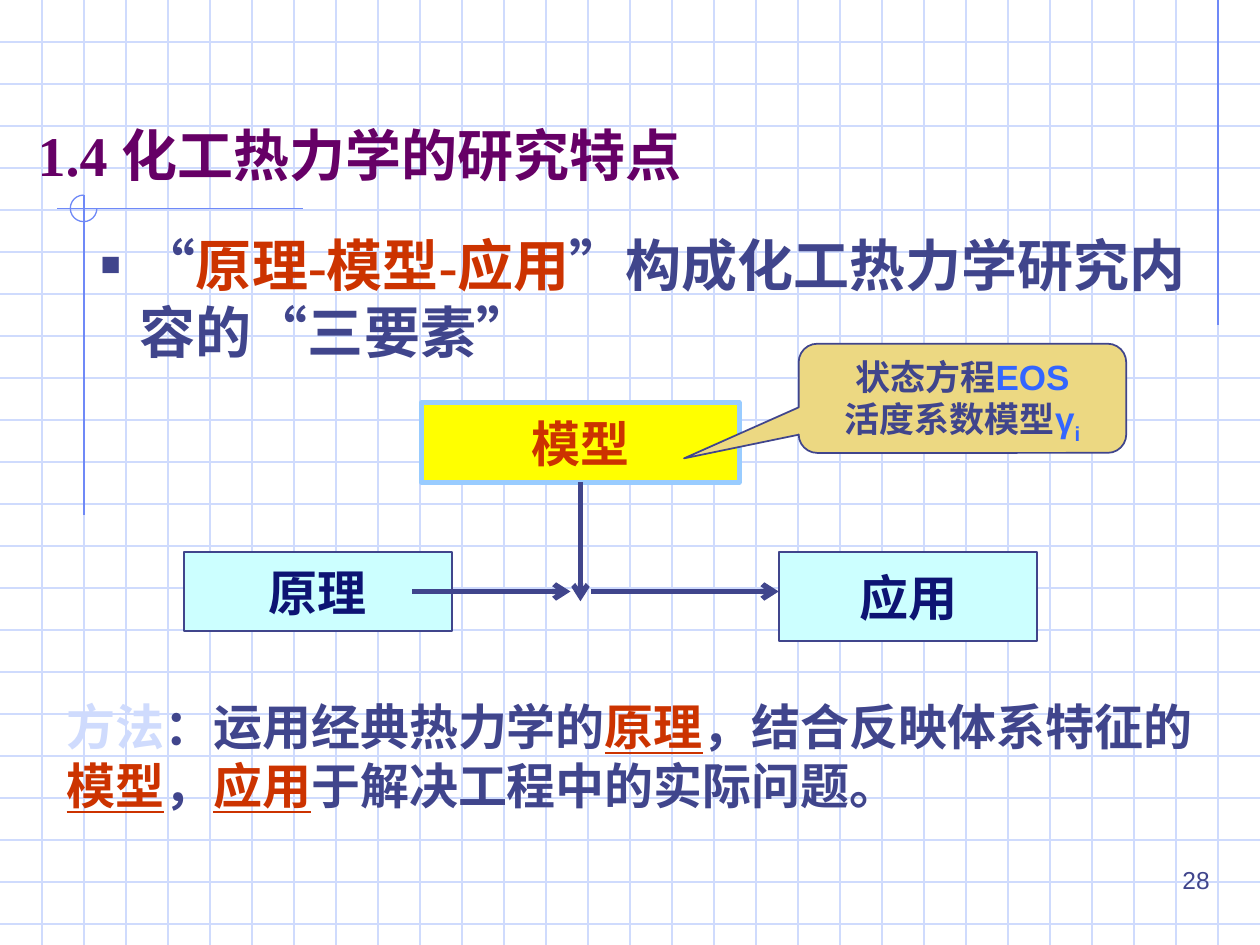
from lxml.etree import SubElement
from pptx import Presentation
from pptx.dml.color import RGBColor
from pptx.enum.shapes import MSO_CONNECTOR as Connector, MSO_SHAPE as Shape
from pptx.enum.text import MSO_ANCHOR as Anchor, MSO_AUTO_SIZE as AutoSize, PP_ALIGN as Align
from pptx.oxml.ns import qn
from pptx.util import Pt

INK, RED, BLUE, NAVY = "40458C", "CC3300", "3366FF", "0D1473"
GRID, ACCENT, PURPLE = "CFDBFD", "6F89F7", "660066"
WIDTH, HEIGHT, STEP = 720, 540, 24


def colour(code):
    return RGBColor.from_string(code)


class Board:
    def __init__(self, slide, font="Arial"):
        self.slide = slide
        self.font = font

    def line(self, start, end, shade, weight=0.75, arrow=False):
        ends = [Pt(value) for value in (*start, *end)]
        stroke = self.slide.shapes.add_connector(Connector.STRAIGHT, *ends)
        stroke.line.color.rgb = colour(shade)
        stroke.line.width = Pt(weight)
        if arrow:
            SubElement(stroke.line._get_or_add_ln(), qn("a:tailEnd"), type="arrow")
        SubElement(stroke._element.spPr, qn("a:effectLst"))

    def shape(self, kind, area, fill, border, weight=1.0, adjustments=()):
        figure = self.slide.shapes.add_shape(kind, *[Pt(value) for value in area])
        figure.shadow.inherit = False
        for index, value in enumerate(adjustments):
            figure.adjustments[index] = value
        if fill:
            figure.fill.solid()
            figure.fill.fore_color.rgb = colour(fill)
        else:
            figure.fill.background()
        figure.line.color.rgb = colour(border)
        figure.line.width = Pt(weight)
        return figure

    def fill_text(self, frame, paragraphs, size, bold=True, align=Align.LEFT,
                  anchor=Anchor.TOP, font=None, wrap=True):
        frame.word_wrap = wrap
        frame.vertical_anchor = anchor
        for index, pieces in enumerate(paragraphs):
            paragraph = frame.add_paragraph() if index else frame.paragraphs[0]
            paragraph.alignment = align
            for text, shade, *style in pieces:
                run = paragraph.add_run()
                run.text = text
                run.font.name = font or self.font
                run.font.size = Pt(size)
                run.font.bold = bold
                run.font.color.rgb = colour(shade)
                if "underline" in style:
                    run.font.underline = True
                if "subscript" in style:
                    run.font._element.set("baseline", "-25000")

    def text(self, area, pieces, size, **style):
        box = self.slide.shapes.add_textbox(*[Pt(value) for value in area])
        self.fill_text(box.text_frame, [pieces], size, **style)
        return box.text_frame

    def label(self, area, word, fill, border, shade, weight=1.0):
        box = self.shape(Shape.RECTANGLE, area, fill, border, weight)
        self.fill_text(box.text_frame, [[(word, shade)]], 28, align=Align.CENTER,
                       anchor=Anchor.MIDDLE, wrap=False)

    def bullet(self, paragraph, left, hanging):
        props = paragraph._p.get_or_add_pPr()
        props.set("marL", str(Pt(left)))
        props.set("indent", str(-Pt(hanging)))
        SubElement(SubElement(props, qn("a:buClr")), qn("a:srgbClr"), val=INK)
        SubElement(props, qn("a:buSzPct"), val="60000")
        SubElement(props, qn("a:buFont"), typeface=self.font)
        SubElement(props, qn("a:buChar"), char="■")


def draw_background(board):
    for y in range(STEP, HEIGHT, STEP):
        board.line((0, y), (WIDTH, y), GRID)
    for x in range(STEP, WIDTH, STEP):
        board.line((x, 0), (x, HEIGHT), GRID)
    board.line((696, 0), (696, 186), ACCENT)
    board.line((173, 119.3), (32.5, 119.3), ACCENT)
    board.line((48, 111.5), (48, 294.5), ACCENT)
    board.shape(Shape.ARC, (40.2, 111.5, 15.2, 15.2), None, ACCENT, 0.75, (0, 162))


def draw_content(board):
    board.text((518.4, 491, 180, 37.4), [("28", INK)], 14, bold=False, align=Align.RIGHT)
    board.text((14.4, 43.2, 672.5, 90), [("1.4 化工热力学的研究特点", PURPLE)], 32,
               font="Times New Roman", anchor=Anchor.MIDDLE)
    elements = board.text((14.4, 128.2, 672.5, 289.4), [
        ("“", INK), ("原理-模型-应用", RED),
        ("”构成化工热力学研究内容的“三要素”", INK),
    ], 32, font="Times New Roman")
    board.bullet(elements.paragraphs[0], 58.5, 22.5)

    board.label((105, 315.4, 153.2, 45.4), "原理", "CCFFFF", INK, NAVY)
    board.label((445, 315.4, 147.8, 51), "应用", "CCFFFF", INK, NAVY)
    board.label((241, 230.2, 181.4, 45.4), "模型", "FFFF00", "99CCFF", RED, 3)
    board.line((235.5, 338), (326, 338), INK, 3, arrow=True)
    board.line((331.7, 275.6), (331.7, 343.6), INK, 3, arrow=True)
    callout = board.shape(Shape.ROUNDED_RECTANGULAR_CALLOUT, (456.4, 196.4, 187.2, 62.4),
                          "ECD882", INK, 1, (-0.85, 0.55, 0.17))
    board.fill_text(callout.text_frame, [
        [("状态方程", INK), ("EOS", BLUE)],
        [("活度系数模型", INK), ("γ", BLUE), ("i", BLUE, "subscript")],
    ], 20, align=Align.CENTER)
    board.line((337.5, 338), (445, 338), INK, 3, arrow=True)

    method = board.text((31, 394.6, 666.7, 75), [
        ("方法", GRID), ("：运用经典热力学的", INK), ("原理", RED, "underline"),
        ("，结合反映体系特征的", INK), ("模型", RED, "underline"), ("，", INK),
        ("应用", RED, "underline"), ("于解决工程中的实际问题。", INK),
    ], 28)
    method.auto_size = AutoSize.SHAPE_TO_FIT_TEXT


def main():
    deck = Presentation()
    deck.slide_width, deck.slide_height = Pt(WIDTH), Pt(HEIGHT)
    board = Board(deck.slides.add_slide(deck.slide_layouts[6]))
    draw_background(board)
    draw_content(board)
    deck.save("out.pptx")


if __name__ == "__main__":
    main()
